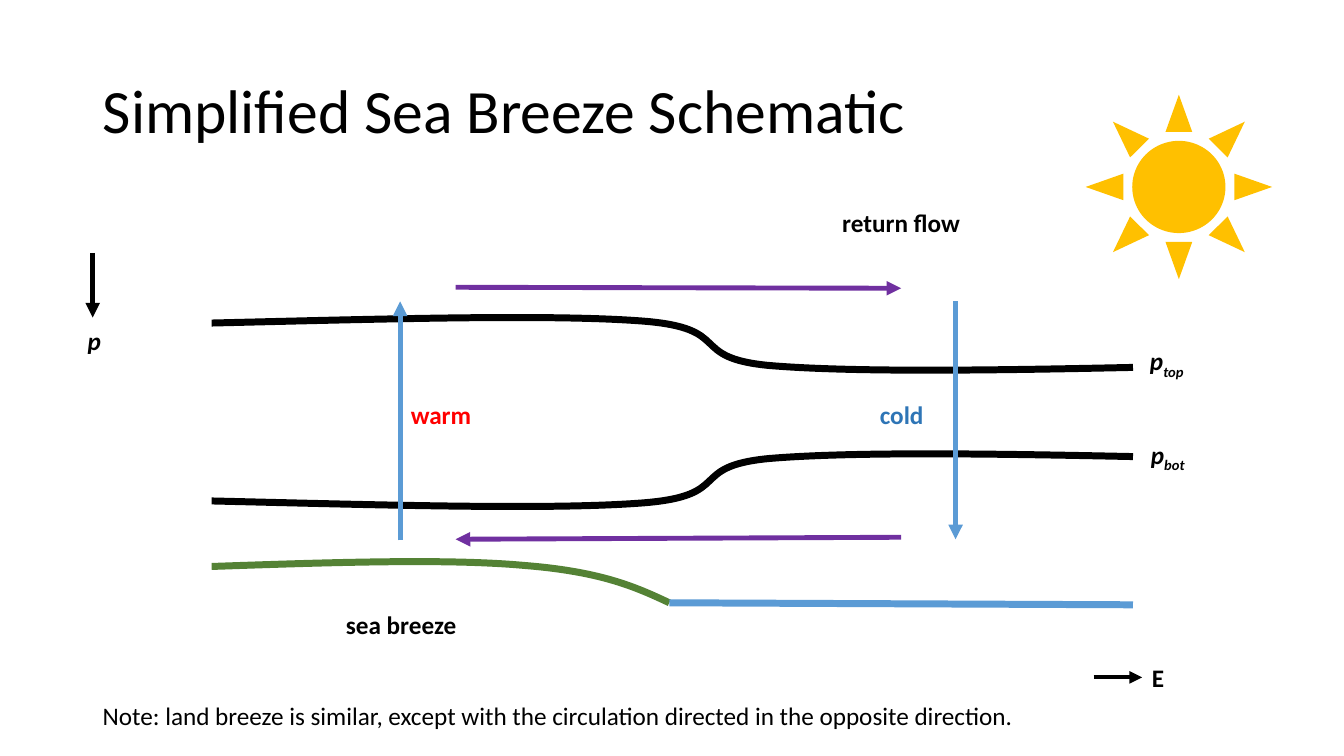
import lxml.etree
import pptx
import pptx.dml.color
import pptx.enum.shapes
import pptx.enum.text
import pptx.oxml.ns
import pptx.util

CELL = pptx.util.Inches(0.1)
COLUMNS, ROWS = 133.33, 75
STEPS = 24
MIRROR_ROW = 81.75
ALIGN = pptx.enum.text.PP_ALIGN
BLACK, SKY, PURPLE = "000000", "5B9BD5", "7030A0"
NAVY_BLUE, RED, GREEN, GOLD = "2E75B6", "FF0000", "548235", "FFC000"
BOLD = {"bold": True}
BOLD_ITALIC = {"bold": True, "italic": True}

COAST = [(21, 56.2), (32.7, 55.8), (44.4, 55.4), (52, 56.1),
         (59.6, 56.7), (63, 58.2), (66.4, 59.8)]
BOTTOM_ISOBAR = [(21, 49.7), (37.8, 50.1), (54.5, 50.6), (63.7, 49.9), (72.9, 49.2),
                 (68.1, 46.3), (76.2, 45.5), (84.3, 44.8), (98.4, 45), (112.4, 45.3)]
TOP_ISOBAR = [(x, MIRROR_ROW - y) for x, y in BOTTOM_ISOBAR]


def grid(*cells):
    return [round(cell * CELL) for cell in cells]


def color(code):
    return pptx.dml.color.RGBColor.from_string(code)


def set_format(target, values):
    for name, value in values.items():
        setattr(target, name, value)


def add_run(p, text, code, size=18, style=None, baseline=None):
    r = p.add_run()
    r.text = text
    set_format(r.font, {"name": "Calibri", "size": pptx.util.Pt(size), **(style or {})})
    r.font.color.rgb = color(code)
    if baseline:
        r._r.get_or_add_rPr().set("baseline", str(baseline))


def add_title(slide, text, box):
    sp = slide.shapes.title
    set_format(sp, dict(zip(("left", "top", "width", "height"), grid(*box))))
    set_format(sp.text_frame, {"vertical_anchor": pptx.enum.text.MSO_ANCHOR.MIDDLE,
                               "word_wrap": True})
    p = sp.text_frame.paragraphs[0]
    set_format(p, {"alignment": ALIGN.LEFT, "line_spacing": 0.9})
    add_run(p, text, BLACK, size=44)


def add_label(slide, text, box, code=BLACK, style=BOLD, align=ALIGN.CENTER, subscript=None):
    sp = slide.shapes.add_textbox(*grid(*box, 4))
    tf = sp.text_frame
    set_format(tf, {"word_wrap": True,
                    "auto_size": pptx.enum.text.MSO_AUTO_SIZE.SHAPE_TO_FIT_TEXT})
    p = tf.paragraphs[0]
    p.alignment = align
    add_run(p, text, code, style=style)
    if subscript:
        add_run(p, subscript, code, style=style, baseline=-25000)
    return sp


def set_line(sp, code, width):
    sp.line.color.rgb = color(code)
    sp.line.width = pptx.util.Pt(width)


def add_line(slide, start, end, code, width=3.5, arrow=True):
    sp = slide.shapes.add_connector(
        pptx.enum.shapes.MSO_CONNECTOR.STRAIGHT, *grid(*start, *end))
    set_line(sp, code, width)
    qn = pptx.oxml.ns.qn
    if arrow:
        ln = sp.line._get_or_add_ln()
        lxml.etree.SubElement(ln, qn("a:tailEnd")).set("type", "triangle")
    lxml.etree.SubElement(sp._element.spPr, qn("a:effectLst"))
    return sp


def bezier(a, b, c, d, t):
    u = 1 - t
    return u**3 * a + 3 * u * u * t * b + 3 * u * t * t * c + t**3 * d


def curve_rows(controls):
    rows = [y for x, y in controls]
    heights = [bezier(*rows[i:i + 4], step / STEPS)
               for i in range(0, len(rows) - 1, 3) for step in range(STEPS + 1)]
    return grid(min(heights), max(heights))


def bend_segments(sp):
    qn = pptx.oxml.ns.qn
    segments = list(sp._element.iter(qn("a:lnTo")))
    for i in range(0, len(segments), 3):
        cubic = lxml.etree.Element(qn("a:cubicBezTo"))
        segments[i].addprevious(cubic)
        for segment in segments[i:i + 3]:
            cubic.append(segment[0])
            segment.getparent().remove(segment)


def fit_rows(sp, top, bottom):
    qn = pptx.oxml.ns.qn
    offset = top - sp.top
    for pt in sp._element.iter(qn("a:pt")):
        pt.set("y", str(int(pt.get("y")) - offset))
    for outline in sp._element.iter(qn("a:path")):
        outline.set("h", str(bottom - top))
    set_format(sp, {"top": top, "height": bottom - top})


def add_curve(slide, controls, code):
    builder = slide.shapes.build_freeform(*grid(*controls[0]))
    builder.add_line_segments([grid(*point) for point in controls[1:]], close=False)
    sp = builder.convert_to_shape()
    bend_segments(sp)
    fit_rows(sp, *curve_rows(controls))
    sp.shadow.inherit = False
    sp.fill.background()
    set_line(sp, code, 5)


def add_sun(slide, box):
    sp = slide.shapes.add_shape(pptx.enum.shapes.MSO_SHAPE.SUN, *grid(*box))
    sp.shadow.inherit = False
    sp.fill.solid()
    sp.fill.fore_color.rgb = color(GOLD)
    sp.line.fill.background()


def main():
    prs = pptx.Presentation()
    prs.slide_width, prs.slide_height = grid(COLUMNS, ROWS)
    slide = prs.slides.add_slide(prs.slide_layouts[5])
    add_title(slide, "Simplified Sea Breeze Schematic", (9.2, 4, 115, 14.5))

    add_curve(slide, COAST, GREEN)
    add_line(slide, COAST[-1], (112.4, 60), SKY, width=5, arrow=False)
    for isobar in (BOTTOM_ISOBAR, TOP_ISOBAR):
        add_curve(slide, isobar, BLACK)

    east = add_line(slide, (108.5, 67.2), (113.3, 67.2), BLACK, width=3)
    east.end_connect(add_label(slide, "E", (113.3, 65.2, 3.6), align=ALIGN.LEFT), 1)
    add_label(slide, "p", (112.9, 43.1, 5.9), style=BOLD_ITALIC, subscript="bot")
    add_label(slide, "p", (112.8, 33.8, 5.9), style=BOLD_ITALIC, subscript="top")
    add_sun(slide, (107.7, 9.4, 18.5, 18.3))
    add_label(slide, "cold", (78.4, 39.1, 22.1), NAVY_BLUE)
    add_label(slide, "warm", (32.7, 39.1, 22.1), RED)

    for start, end, code in (
        ((89.4, 53.3), (45.2, 53.5), PURPLE),
        ((45.2, 28.5), (89.4, 28.6), PURPLE),
        ((39.7, 53.6), (39.7, 29.9), SKY),
        ((94.8, 29.9), (94.8, 53.5), SKY),
        ((9.2, 25.1), (9.2, 31.5), BLACK),
    ):
        add_line(slide, start, end, code)

    add_label(slide, "sea breeze", (23.3, 60, 33))
    add_label(slide, "return flow", (72.9, 20.1, 33))
    add_label(slide, "p", (7.7, 31.8, 3.6), style=BOLD_ITALIC, align=ALIGN.LEFT)
    add_label(slide, "Note: land breeze is similar, except with the circulation "
              "directed in the opposite direction.", (9.2, 69, 94.9),
              style=None, align=ALIGN.LEFT)
    prs.save("out.pptx")


if __name__ == "__main__":
    main()
